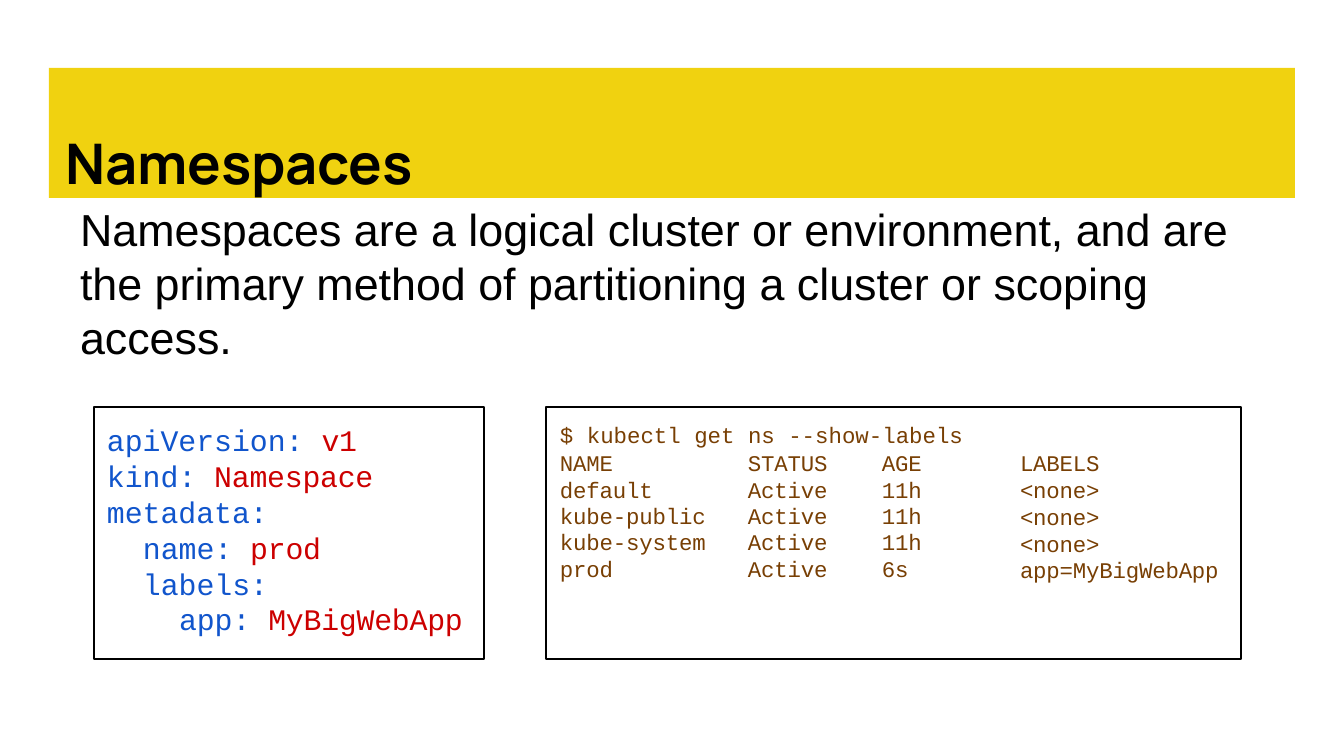
"""Build the Namespaces slide with a YAML manifest and its kubectl listing."""
from dataclasses import dataclass

from pptx import Presentation
from pptx.dml.color import RGBColor as RGB
from pptx.enum.shapes import MSO_SHAPE as SHAPE
from pptx.enum.text import MSO_ANCHOR as ANCHOR
from pptx.oxml.ns import qn
from pptx.util import Pt


@dataclass(frozen=True)
class Theme:
    band: RGB = RGB(0xF0, 0xD2, 0x10)
    ink: RGB = RGB(0, 0, 0)
    key: RGB = RGB(0x11, 0x55, 0xCC)
    value: RGB = RGB(0xCC, 0, 0)
    terminal: RGB = RGB(0x78, 0x3F, 0x04)
    heading_font: str = "Manrope"
    body_font: str = "Arial"
    code_font: str = "Courier New"
    heading_size: int = 30
    body_size: int = 24
    yaml_size: int = 16
    terminal_size: int = 12


THEME = Theme()
PX = 914400 / 134.4

HEADING = "Namespaces"
DEFINITION = (
    "Namespaces are a logical cluster or environment, and are the primary "
    "method of partitioning a cluster or scoping access."
)
MANIFEST = [
    (0, "apiVersion:", "v1"),
    (0, "kind:", "Namespace"),
    (0, "metadata:", ""),
    (1, "name:", "prod"),
    (1, "labels:", ""),
    (2, "app:", "MyBigWebApp"),
]
COMMAND = "$ kubectl get ns --show-labels"
LISTING = [
    ("NAME", "STATUS", "AGE", "LABELS"),
    ("default", "Active", "11h", "<none>"),
    ("kube-public", "Active", "11h", "<none>"),
    ("kube-system", "Active", "11h", "<none>"),
    ("prod", "Active", "6s", "app=MyBigWebApp"),
]
LISTING_TABS = (188, 322)

BAND_AT = (49, 68, 1246, 130)
HEADING_AT = (66, 85, 1216, 111)
DEFINITION_AT = (80, 201, 1152, 165)
MANIFEST_AT = (94, 407, 390, 252)
TERMINAL_AT = (546, 407, 695, 252)
LISTING_AT = (560, 422, 440, 165)
LABELS_AT = (1020, 449, 210, 137)
MANIFEST_INSET = (13, 15)
YAML_INDENT = 36


def emu(px):
    return round(px * PX)


def add_rect(slide, at, fill=None):
    rect = slide.shapes.add_shape(SHAPE.RECTANGLE, *map(emu, at))
    rect.shadow.inherit = False
    if fill is None:
        rect.fill.background()
        rect.line.color.rgb = THEME.ink
        rect.line.width = Pt(1.5)
    else:
        rect.fill.solid()
        rect.fill.fore_color.rgb = fill
        rect.line.fill.background()
    return rect


def prepare(frame, left=0, top=0, anchor=ANCHOR.TOP):
    frame.word_wrap = True
    frame.vertical_anchor = anchor
    frame.margin_left, frame.margin_top = emu(left), emu(top)
    frame.margin_right = frame.margin_bottom = 0
    return frame


def add_box(slide, at, anchor=ANCHOR.TOP):
    return prepare(slide.shapes.add_textbox(*map(emu, at)).text_frame, anchor=anchor)


def add_run(paragraph, text, font, size, color, bold=False, spacing=0):
    run = paragraph.add_run()
    run.text = text
    run.font.name, run.font.size = font, Pt(size)
    run.font.color.rgb, run.font.bold = color, bold
    if spacing:
        run.font._element.set("spc", str(round(spacing * 100)))


def add_lines(frame, count, pitch):
    lines = [frame.paragraphs[0]] + [frame.add_paragraph() for _ in range(count - 1)]
    for line in lines:
        line.line_spacing = Pt(pitch)
    return lines


def set_indent(paragraph, px):
    properties = paragraph._p.get_or_add_pPr()
    properties.set("marL", str(emu(px)))
    properties.set("indent", "0")


def set_tabs(paragraph, stops):
    properties = paragraph._p.get_or_add_pPr()
    tabs = properties.makeelement(qn("a:tabLst"), {})
    for stop in stops:
        tab = tabs.makeelement(qn("a:tab"), {"pos": str(emu(stop)), "algn": "l"})
        tabs.append(tab)
    properties.append(tabs)


def add_manifest(slide):
    frame = prepare(add_rect(slide, MANIFEST_AT).text_frame, *MANIFEST_INSET)
    lines = add_lines(frame, len(MANIFEST), 19.2)
    for line, (level, key, value) in zip(lines, MANIFEST):
        line.alignment = 1
        set_indent(line, level * YAML_INDENT)
        label = f"{key} " if value else key
        add_run(line, label, THEME.code_font, THEME.yaml_size, THEME.key)
        if value:
            add_run(line, value, THEME.code_font, THEME.yaml_size, THEME.value, spacing=-0.1)


def add_terminal(slide):
    add_rect(slide, TERMINAL_AT)
    style = (THEME.code_font, THEME.terminal_size, THEME.terminal)
    command, *rows = add_lines(add_box(slide, LISTING_AT), len(LISTING) + 1, 14.1)
    labels = add_lines(add_box(slide, LABELS_AT), len(LISTING), 14.4)
    add_run(command, COMMAND, *style)
    rows[0].space_before = Pt(1)
    for row, label, (*cells, tag) in zip(rows, labels, LISTING):
        set_tabs(row, LISTING_TABS)
        add_run(row, "\t".join(cells), *style, spacing=-0.1)
        add_run(label, tag, *style, spacing=-0.1)


def main():
    deck = Presentation()
    deck.slide_width, deck.slide_height = emu(1344), emu(756)
    slide = deck.slides.add_slide(deck.slide_layouts[6])

    add_rect(slide, BAND_AT, THEME.band)
    heading = add_box(slide, HEADING_AT, ANCHOR.BOTTOM).paragraphs[0]
    add_run(heading, HEADING, THEME.heading_font, THEME.heading_size, THEME.ink,
            bold=True, spacing=-0.1)
    definition, = add_lines(add_box(slide, DEFINITION_AT), 1, 29)
    add_run(definition, DEFINITION, THEME.body_font, THEME.body_size, THEME.ink)
    add_manifest(slide)
    add_terminal(slide)
    deck.save("out.pptx")


if __name__ == "__main__":
    main()
